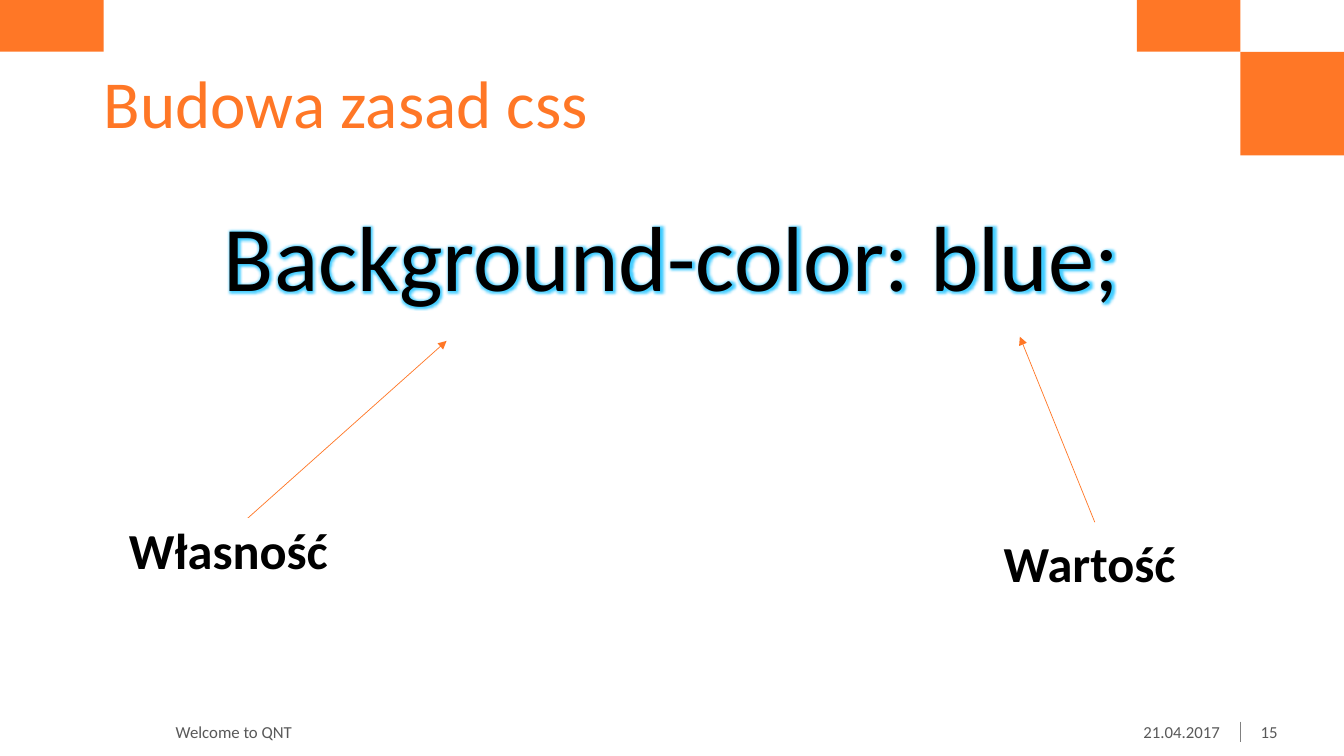
from lxml.etree import SubElement
from pptx import Presentation
from pptx.dml.color import RGBColor
from pptx.enum.shapes import MSO_CONNECTOR as Connector, MSO_SHAPE as Shape
from pptx.enum.text import MSO_ANCHOR as Anchor, MSO_AUTO_SIZE as AutoSize, PP_ALIGN as Align
from pptx.oxml import parse_xml
from pptx.oxml.ns import nsdecls, qn
from pptx.util import Pt

CELL = 74  # side of the orange corner square
HALF = CELL / 2
WIDTH, HEIGHT = 960, 540
RIGHT = WIDTH - CELL
FOOTER_TOP, FOOTER_HEIGHT = 505.5, 34.5


def color(value):
    return RGBColor.from_string(value)


def write(box, *texts, size, ink, bold=False, align=Align.LEFT, anchor=Anchor.MIDDLE,
          insets=(0, 0, 0, 0), spacing=None, before=None):
    """Fill the box with one paragraph and return its runs."""
    frame = box.text_frame
    frame.word_wrap, frame.auto_size = True, AutoSize.NONE
    frame.vertical_anchor = anchor
    frame.margin_left, frame.margin_top, frame.margin_right, frame.margin_bottom = map(Pt, insets)
    para = frame.paragraphs[0]
    para.alignment = align
    if spacing is not None:
        para.line_spacing = spacing
    if before is not None:
        para.space_before = Pt(before)
    spans = []
    for text in texts:
        span = para.add_run()
        span.text = text
        span.font.name, span.font.size, span.font.bold = "Calibri", Pt(size), bold
        span.font.color.rgb = color(ink)
        spans.append(span)
    return spans


class SlideBuilder:
    orange, black, white, gray, rule = "FF7726", "000000", "FFFFFF", "595959", "808080"
    glow = "40CCFF"

    def __init__(self, deck):
        self.page = deck.slides.add_slide(deck.slide_layouts[5])

    def block(self, left, top, width, height, fill):
        box = self.page.shapes.add_shape(
            Shape.RECTANGLE, Pt(left), Pt(top), Pt(width), Pt(height))
        box.shadow.inherit = False
        box.fill.solid()
        box.fill.fore_color.rgb = color(fill)
        box.line.fill.background()
        return box

    def line(self, start, end, ink, arrow=False):
        line = self.page.shapes.add_connector(Connector.STRAIGHT, *map(Pt, start + end))
        line.line.color.rgb = color(ink)
        line.line.width = Pt(0.5)
        if arrow:
            SubElement(line.line._get_or_add_ln(), qn("a:tailEnd"), type="triangle")
        SubElement(line._element.spPr, qn("a:effectLst"))

    def title(self, text):
        box = self.page.shapes.title
        box.left, box.top, box.width, box.height = map(Pt, (CELL, HALF, 738, CELL))
        write(box, text, size=48, ink=self.orange, insets=(0, 8.5, 28, 3.5), spacing=0.9)

    def rule_text(self, *parts):
        box = self.block(CELL, 147.5, RIGHT - CELL, 318, self.white)
        spans = write(box, *parts, size=66, ink=self.black, align=Align.CENTER,
                      anchor=Anchor.TOP, insets=(1.5, 3.5, 1.5, 3.5), spacing=0.9, before=10)
        for span, outline in zip(spans, (self.black, "404040")):
            self.outline_and_glow(span, outline)

    def outline_and_glow(self, span, outline):
        props = span.font._element
        props.insert(0, parse_xml(
            f'<a:ln {nsdecls("a")} w="{Pt(0.75)}"><a:solidFill>'
            f'<a:srgbClr val="{outline}"/></a:solidFill></a:ln>'))
        props.find(qn("a:solidFill")).addnext(parse_xml(
            f'<a:effectLst {nsdecls("a")}><a:glow rad="{Pt(5)}">'
            f'<a:srgbClr val="{self.glow}"/></a:glow></a:effectLst>'))

    def label(self, text, left, top, indent):
        box = self.block(left, top, 255, 39.5, self.white)
        write(box, text, size=36, ink=self.black, bold=True, insets=(indent, 8.5, 28, 3.5))

    def footer(self, text, left, width, align=Align.LEFT):
        box = self.page.shapes.add_textbox(
            Pt(left), Pt(FOOTER_TOP), Pt(width), Pt(FOOTER_HEIGHT))
        near, far = (7, 14.5) if align == Align.RIGHT else (14.5, 7)
        write(box, text, size=12, ink=self.gray, align=align, insets=(near, 3.5, far, 3.5))


def main():
    deck = Presentation()
    deck.slide_width, deck.slide_height = Pt(WIDTH), Pt(HEIGHT)
    slide = SlideBuilder(deck)

    # Corner blocks
    slide.block(RIGHT, HALF, CELL, CELL, slide.orange)
    for left in (RIGHT - CELL, 0):
        slide.block(left, 0, CELL, HALF, slide.orange)

    # Title and the CSS rule
    slide.title("Budowa zasad css")
    slide.rule_text("Background-color: ", "blue;")

    # Labels with arrows to the parts of the rule
    for text, left, top, indent, start, end in (
            ("Własność", 64, 370, 28, (176, 371), (319, 243.5)),
            ("Wartość", 664, 379.5, 53, (782, 373), (728.5, 240.5))):
        slide.line(start, end, slide.orange, arrow=True)
        slide.label(text, left, top, indent)

    # Footer
    slide.footer("Welcome to QNT", 111, 554)
    slide.footer("21.04.2017", RIGHT - 2 * CELL, 2 * CELL, Align.RIGHT)
    slide.footer("15", RIGHT, CELL)
    slide.line((RIGHT, 515.5), (RIGHT, 530), slide.rule)

    deck.save("out.pptx")


if __name__ == "__main__":
    main()
